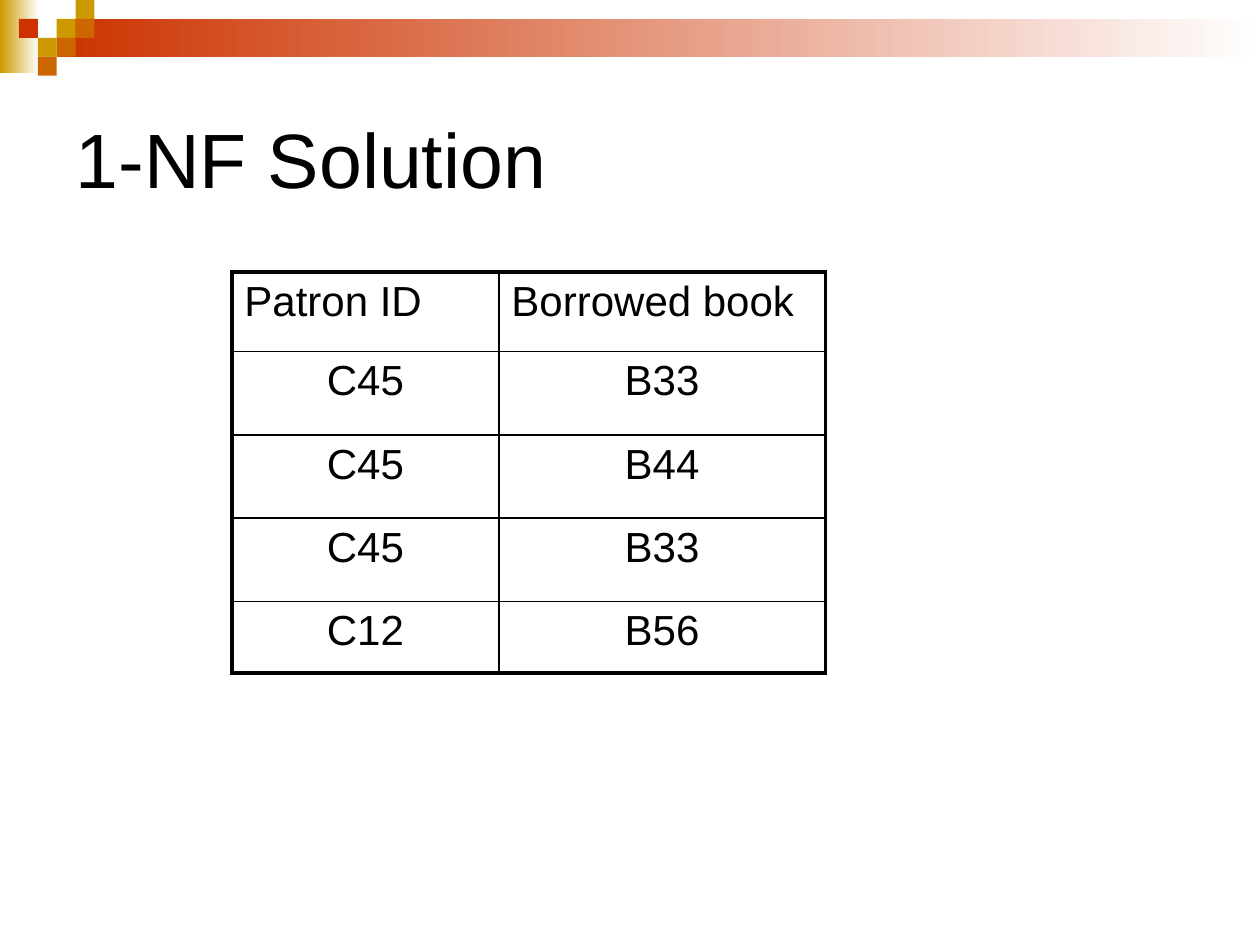
from dataclasses import dataclass

from lxml.etree import SubElement
from pptx import Presentation
from pptx.dml.color import RGBColor
from pptx.enum.shapes import MSO_SHAPE
from pptx.enum.text import MSO_ANCHOR, PP_ALIGN
from pptx.oxml.ns import qn
from pptx.shapes.autoshape import Shape
from pptx.slide import Slide
from pptx.table import _Cell
from pptx.text.text import TextFrame
from pptx.util import Pt

BLACK, WHITE = "000000", "FFFFFF"
GOLD, ORANGE, RED = "CC9900", "CC6600", "CC3300"
FONT = "Arial"
SQUARE = 10.8
THICK, THIN = 2.25, 1


@dataclass
class FadeBar:
    left: float
    top: float
    width: float
    height: float
    color: str


@dataclass
class MosaicSquare:
    column: int
    row: int
    color: str


FADE_BARS = [
    FadeBar(0, 0, 22.3, 41.8, GOLD),
    FadeBar(32.4, 10.8, 687.6, 21.6, RED),
]
MOSAIC = [
    MosaicSquare(3, 1, GOLD),
    MosaicSquare(4, 0, GOLD),
    MosaicSquare(4, 1, ORANGE),
    MosaicSquare(2, 2, GOLD),
    MosaicSquare(1, 1, RED),
    MosaicSquare(3, 2, ORANGE),
    MosaicSquare(2, 3, ORANGE),
]
LOANS = [
    ("Patron ID", "Borrowed book"),
    ("C45", "B33"),
    ("C45", "B44"),
    ("C45", "B33"),
    ("C12", "B56"),
]
COLUMN_WIDTHS = [152.6, 186.5]
ROW_HEIGHTS = [45.4, 47.6, 47.6, 47.6, 41]


def rgb(color: str) -> RGBColor:
    return RGBColor.from_string(color)


def add_block(slide: Slide, left: float, top: float, width: float, height: float) -> Shape:
    block = slide.shapes.add_shape(
        MSO_SHAPE.RECTANGLE, Pt(left), Pt(top), Pt(width), Pt(height)
    )
    block.shadow.inherit = False
    block.line.fill.background()
    return block


def draw_fade_bar(slide: Slide, bar: FadeBar) -> None:
    fill = add_block(slide, bar.left, bar.top, bar.width, bar.height).fill
    fill.gradient()
    fill.gradient_angle = 0
    for stop, color in zip(fill.gradient_stops, (bar.color, WHITE)):
        stop.color.rgb = rgb(color)


def draw_square(slide: Slide, square: MosaicSquare) -> None:
    fill = add_block(
        slide, square.column * SQUARE, square.row * SQUARE, SQUARE, SQUARE
    ).fill
    fill.solid()
    fill.fore_color.rgb = rgb(square.color)


def write(frame: TextFrame, text: str, size: float, align: PP_ALIGN) -> None:
    paragraph = frame.paragraphs[0]
    paragraph.alignment = align
    run = paragraph.add_run()
    run.text = text
    run.font.name = FONT
    run.font.size = Pt(size)
    run.font.color.rgb = rgb(BLACK)


def set_border(cell: _Cell, side: str, width: float) -> None:
    properties = cell._tc.get_or_add_tcPr()
    line = SubElement(properties, qn(f"a:ln{side}"), w=str(Pt(width)))
    SubElement(SubElement(line, qn("a:solidFill")), qn("a:srgbClr"), val=BLACK)


def draw_title(slide: Slide, text: str) -> None:
    title = slide.shapes.title
    title.left, title.top, title.width, title.height = Pt(36), Pt(36), Pt(648), Pt(108)
    title.text_frame.vertical_anchor = MSO_ANCHOR.MIDDLE
    write(title.text_frame, text, 44, PP_ALIGN.LEFT)


def draw_loans(slide: Slide) -> None:
    table = slide.shapes.add_table(
        len(LOANS), len(COLUMN_WIDTHS), Pt(132.5), Pt(155.5),
        Pt(sum(COLUMN_WIDTHS)), Pt(sum(ROW_HEIGHTS)),
    ).table
    table.first_row = table.horz_banding = False
    for column, width in zip(table.columns, COLUMN_WIDTHS):
        column.width = Pt(width)
    for row, height in zip(table.rows, ROW_HEIGHTS):
        row.height = Pt(height)

    last_row, last_column = len(LOANS) - 1, len(COLUMN_WIDTHS) - 1
    for r, loan in enumerate(LOANS):
        for c, text in enumerate(loan):
            cell = table.cell(r, c)
            outer_sides = {
                "L": c == 0,
                "R": c == last_column,
                "T": r == 0,
                "B": r == last_row,
            }
            for side, outer in outer_sides.items():
                set_border(cell, side, THICK if outer else THIN)
            cell.fill.solid()
            cell.fill.fore_color.rgb = rgb(WHITE)
            write(cell.text_frame, text, 24, PP_ALIGN.CENTER if r else PP_ALIGN.LEFT)


def main() -> None:
    deck = Presentation()
    deck.slide_width, deck.slide_height = Pt(720), Pt(540)
    slide = deck.slides.add_slide(deck.slide_layouts[5])
    for bar in FADE_BARS:
        draw_fade_bar(slide, bar)
    for square in MOSAIC:
        draw_square(slide, square)
    draw_title(slide, "1-NF Solution")
    draw_loans(slide)
    deck.save("out.pptx")


if __name__ == "__main__":
    main()
